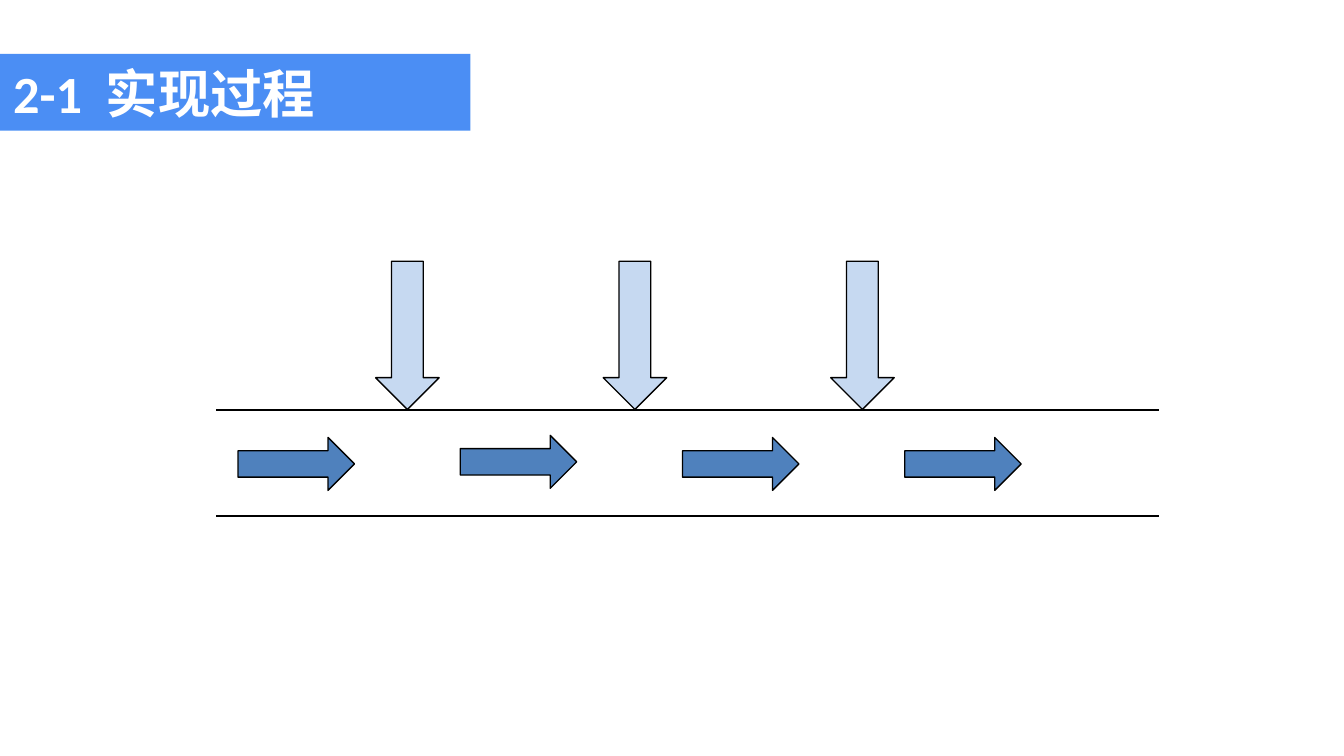
"""Build the process slide: a channel with flow arrows and three inputs from above."""
import dataclasses
import typing

import lxml.etree
import pptx
import pptx.dml.color
import pptx.enum.shapes
import pptx.enum.text
import pptx.oxml.ns
import pptx.util

Cm = pptx.util.Cm
Color = pptx.dml.color.RGBColor
Kind = pptx.enum.shapes.MSO_SHAPE

BAND_BLUE = Color(0x31, 0x7E, 0xF3)
FLOW_BLUE = Color(0x4F, 0x81, 0xBD)
INPUT_BLUE = Color(0xC6, 0xD9, 0xF1)
BLACK = Color(0, 0, 0)
WHITE = Color(0xFF, 0xFF, 0xFF)

OUTLINE_WIDTH = pptx.util.Pt(0.75)
BAND_PLACE = {"left": Cm(0), "top": Cm(1.02), "width": Cm(8.89), "height": Cm(1.45)}
TITLE_FRAME = {
    "margin_left": Cm(0.25), "margin_right": Cm(0.25),
    "margin_top": Cm(0.13), "margin_bottom": Cm(0.13),
    "word_wrap": True,
    "vertical_anchor": pptx.enum.text.MSO_ANCHOR.TOP,
    "auto_size": pptx.enum.text.MSO_AUTO_SIZE.SHAPE_TO_FIT_TEXT,
}
TITLE_FONT = {"name": "Calibri", "size": pptx.util.Pt(28), "bold": True}
TITLE_SPANS = (("2-1", 0), (" ", 640), ("实现过程", 0))
CHANNEL_LEFT, CHANNEL_RIGHT = 4.09, 21.9
CHANNEL_EDGES = (7.75, 9.75)


@dataclasses.dataclass(frozen=True)
class ArrowRow:
    """Describe equally spaced block arrows, in centimetres."""
    kind: Kind
    fill: Color
    left: float
    pitch: float
    tops: tuple[float, ...]
    width: float
    height: float


ARROW_ROWS = (
    ArrowRow(Kind.RIGHT_ARROW, FLOW_BLUE, 4.5, 4.2, (8.27, 8.23, 8.27, 8.27), 2.2, 1.0),
    ArrowRow(Kind.DOWN_ARROW, INPUT_BLUE, 7.1, 4.3, (4.94,) * 3, 1.2, 2.8),
)


def apply_format(target: typing.Any, values: dict[str, typing.Any]) -> None:
    """Set each named attribute on the target."""
    for name, value in values.items():
        setattr(target, name, value)


def draw_title(slide: typing.Any) -> None:
    """Draw the translucent band and the title over it."""
    title = slide.shapes.title
    band = slide.shapes.add_shape(Kind.RECTANGLE, *BAND_PLACE.values())
    band.shadow.inherit = False
    band.fill.solid()
    band.fill.fore_color.rgb = BAND_BLUE
    band.line.fill.background()
    color = band.element.spPr.find(".//" + pptx.oxml.ns.qn("a:srgbClr"))
    lxml.etree.SubElement(color, pptx.oxml.ns.qn("a:alpha"), val="87000")
    title.element.addprevious(band.element)

    apply_format(title, BAND_PLACE)
    apply_format(title.text_frame, TITLE_FRAME)
    para = title.text_frame.paragraphs[0]
    para.alignment = pptx.enum.text.PP_ALIGN.LEFT
    for text, spacing in TITLE_SPANS:
        span = para.add_run()
        span.text = text
        apply_format(span.font, TITLE_FONT)
        span.font.color.rgb = WHITE
        span.font._element.set("spc", str(spacing))


def draw_channel_edge(slide: typing.Any, top: float) -> None:
    """Draw one horizontal edge of the channel."""
    edge = slide.shapes.add_connector(
        pptx.enum.shapes.MSO_CONNECTOR.STRAIGHT,
        Cm(CHANNEL_LEFT), Cm(top), Cm(CHANNEL_RIGHT), Cm(top))
    edge.line.color.rgb = BLACK
    edge.line.width = OUTLINE_WIDTH
    lxml.etree.SubElement(edge.element.spPr, pptx.oxml.ns.qn("a:effectLst"))


def draw_arrows(slide: typing.Any, row: ArrowRow) -> None:
    """Draw every arrow of a row."""
    for index, top in enumerate(row.tops):
        arrow = slide.shapes.add_shape(
            row.kind, Cm(row.left + index * row.pitch), Cm(top), Cm(row.width), Cm(row.height))
        arrow.shadow.inherit = False
        arrow.fill.solid()
        arrow.fill.fore_color.rgb = row.fill
        arrow.line.color.rgb = BLACK
        arrow.line.width = OUTLINE_WIDTH


def main() -> None:
    """Build and save the deck."""
    deck = pptx.Presentation()
    apply_format(deck, {"slide_width": Cm(25.4), "slide_height": Cm(14.29)})
    page = deck.slides.add_slide(deck.slide_layouts.get_by_name("Title Only"))
    draw_title(page)
    for top in CHANNEL_EDGES:
        draw_channel_edge(page, top)
    for row in ARROW_ROWS:
        draw_arrows(page, row)
    deck.save("out.pptx")


if __name__ == "__main__":
    main()
